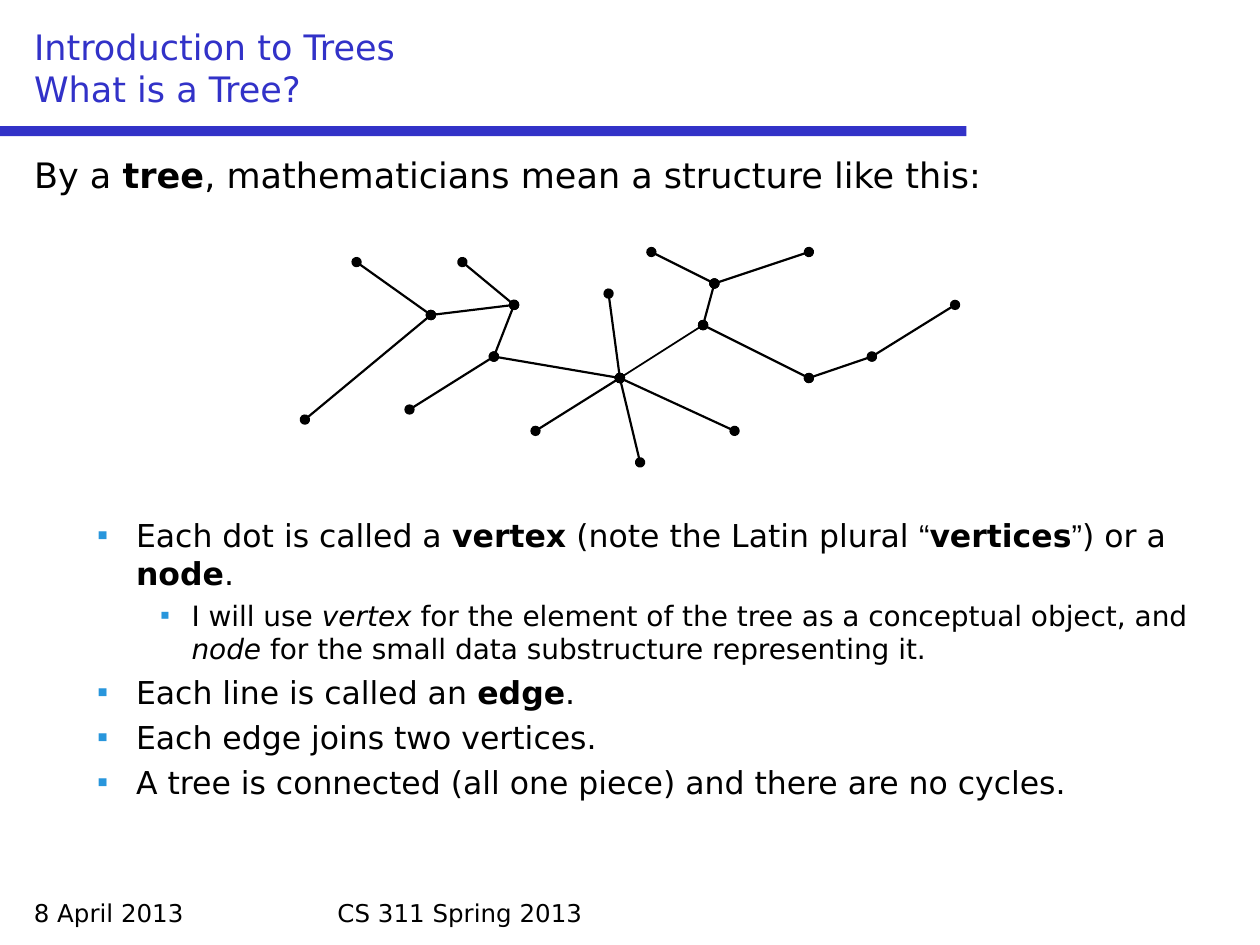
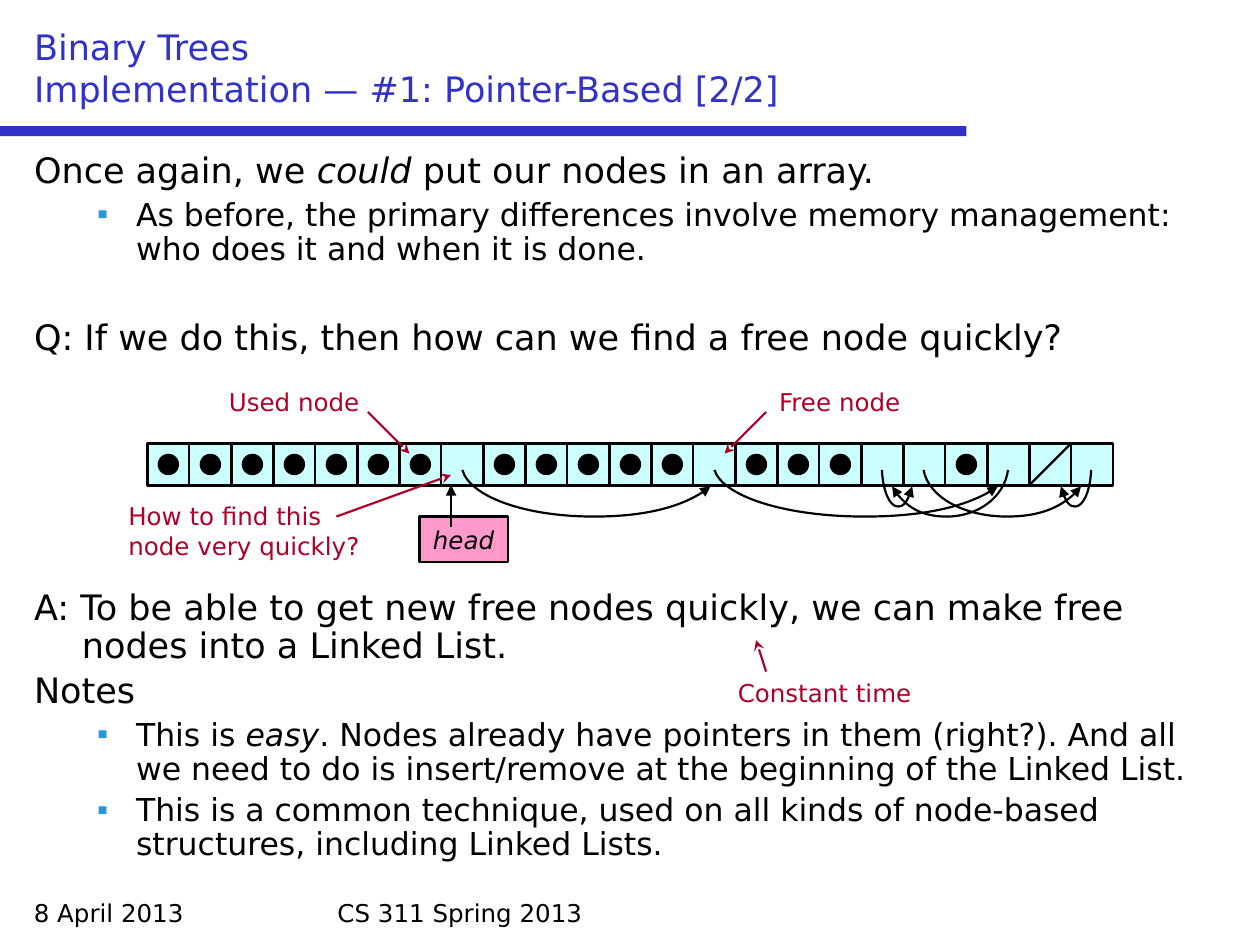
from dataclasses import dataclass

from lxml.etree import SubElement
from pptx import Presentation
from pptx.dml.color import RGBColor
from pptx.enum.shapes import MSO_CONNECTOR, MSO_SHAPE
from pptx.enum.text import MSO_ANCHOR, MSO_AUTO_SIZE, PP_ALIGN
from pptx.oxml.ns import qn
from pptx.shapes.autoshape import Shape
from pptx.slide import Slide
from pptx.text.text import TextFrame
from pptx.util import Inches, Pt


@dataclass(frozen=True)
class Theme:
    font: str = "DejaVu Sans"
    quote_font: str = "Arial"
    accent: RGBColor = RGBColor(0x32, 0x32, 0xC8)
    bullet: RGBColor = RGBColor(0x28, 0x96, 0xDC)
    ink: RGBColor = RGBColor(0, 0, 0)
    note: RGBColor = RGBColor(0xAF, 0x00, 0x28)
    cell: RGBColor = RGBColor(0xCC, 0xFF, 0xFF)
    head: RGBColor = RGBColor(0xFF, 0x99, 0xCC)
    title_size: int = 20
    body_sizes: tuple[int, ...] = (20, 18, 16)
    small_size: int = 14
    line_width: float = 1.25
    margins: tuple[float, ...] = (0.38, 0.81, 1.25)
    hangs: tuple[float, ...] = (0.38, 0.31, 0.25)
    gaps: tuple[float, ...] = (4.66, 4.19, 3.72)


THEME = Theme()


@dataclass(frozen=True)
class Run:
    text: str
    bold: bool = False
    italic: bool = False
    font: str = THEME.font


@dataclass(frozen=True)
class Item:
    """One body paragraph; gap is the space before it in points."""
    level: int
    runs: tuple[Run, ...]
    gap: float | None = None


@dataclass(frozen=True)
class Label:
    text: str
    left: float
    top: float
    width: float
    height: float
    color: RGBColor = THEME.note
    align: PP_ALIGN = PP_ALIGN.CENTER


@dataclass(frozen=True)
class Line:
    start: tuple[float, float]
    end: tuple[float, float]
    color: RGBColor = THEME.ink
    width: float = THEME.line_width
    head: str = "none"
    tail: str = "none"


@dataclass(frozen=True)
class Link:
    """A curved pointer hanging below the array."""
    start: float
    end: float
    depth: float = 0.37


FOOTERS = (
    Label("8 April 2013", 0.17, 7.08, 2.33, 0.33, THEME.ink, PP_ALIGN.LEFT),
    Label("CS 311 Spring 2013", 2.58, 7.08, 4.83, 0.33, THEME.ink, PP_ALIGN.LEFT),
)

TREE_ITEMS = (
    Item(0, (Run("By a "), Run("tree", bold=True),
             Run(", mathematicians mean a structure like this:"))),
    Item(1, (Run("Each dot is called a "), Run("vertex", bold=True),
             Run(" (note the Latin plural "), Run("“", font=THEME.quote_font),
             Run("vertices", bold=True), Run("”", font=THEME.quote_font),
             Run(") or a "), Run("node", bold=True), Run(".")), gap=183),
    Item(2, (Run("I will use "), Run("vertex", italic=True),
             Run(" for the element of the tree as a conceptual object, and "),
             Run("node", italic=True),
             Run(" for the small data substructure representing it."))),
    Item(1, (Run("Each line is called an "), Run("edge", bold=True), Run("."))),
    Item(1, (Run("Each edge joins two vertices."),)),
    Item(1, (Run("A tree is connected (all one piece) and there are no cycles."),)),
)

VERTICES = {
    "a": (2.42, 3.33), "b": (2.83, 2.08), "c": (3.42, 2.5), "d": (3.67, 2.08),
    "e": (4.08, 2.42), "f": (3.92, 2.83), "g": (3.25, 3.25), "h": (4.92, 3),
    "i": (4.83, 2.33), "j": (4.25, 3.42), "k": (5.08, 3.67), "l": (5.83, 3.42),
    "m": (5.58, 2.58), "n": (5.67, 2.25), "o": (5.17, 2), "p": (6.42, 2),
    "q": (6.42, 3), "r": (6.92, 2.83), "s": (7.58, 2.42),
}
EDGES = "fh mh mq hk hj nm ef ce ih lh qr fg cb no pn de sr ca".split()
THIN_EDGE = "mh"

ARRAY_ITEMS = (
    Item(0, (Run("Once again, we "), Run("could", italic=True),
             Run(" put our nodes in an array."))),
    Item(1, (Run("As before, the primary differences involve memory management: "
                 "who does it and when it is done."),)),
    Item(0, (Run("Q: If we do this, then how can we find a free node quickly?"),),
         gap=30.3),
    Item(0, (Run("A: To be able to get new free nodes quickly, "
                 "we can make free nodes into a Linked List."),), gap=132.7),
    Item(0, (Run("Notes"),)),
    Item(1, (Run("This is "), Run("easy", italic=True),
             Run(". Nodes already have pointers in them (right?). And all we need "
                 "to do is insert/remove at the beginning of the Linked List."))),
    Item(1, (Run("This is a common technique, used on all kinds of node-based "
                 "structures, including Linked Lists."),)),
)

ARRAY_LEFT, ARRAY_TOP, CELL, DOT = 1.17, 3.52, 1 / 3, 0.17
CELL_COUNT = 23
FREE_CELLS = {7, 13, 17, 18, 20, 21, 22}
LINKS = (
    Link(3.67, 5.64), Link(5.67, 7.92), Link(8, 7.08),
    Link(7, 7.24, 0.29), Link(8.66, 8.42, 0.29), Link(7.33, 8.58),
)
ARRAY_LABELS = (
    Label("Used node", 1.67, 3.02, 1.33, 0.34),
    Label("Free node", 6, 3.02, 1.33, 0.34),
    Label("How to find this node very quickly?", 0.92, 3.93, 2.17, 0.58,
          align=PP_ALIGN.LEFT),
    Label("Constant time", 5.67, 5.33, 1.75, 0.34),
)
ARRAY_LINES = (
    Line((2.92, 3.27), (3.25, 3.6), THEME.note, tail="stealth"),
    Line((6.08, 3.27), (5.75, 3.6), THEME.note, tail="stealth"),
    Line((2.67, 4.1), (3.58, 3.77), THEME.note, tail="stealth"),
    Line((6.08, 5.33), (6, 5.08), THEME.note, tail="stealth"),
    Line((3.58, 4.18), (3.58, 3.85), tail="triangle"),
    Line((8.17, 3.85), (8.5, 3.52)),
)


def add_run(paragraph, content: Run, size: float, color: RGBColor) -> None:
    run = paragraph.add_run()
    run.text = content.text
    run.font.name = content.font
    run.font.size = Pt(size)
    run.font.bold = content.bold
    run.font.italic = content.italic
    run.font.color.rgb = color


def place(shape: Shape, left: float, top: float, width: float, height: float) -> None:
    shape.left, shape.top = Inches(left), Inches(top)
    shape.width, shape.height = Inches(width), Inches(height)


def add_box(slide: Slide, kind: MSO_SHAPE, left: float, top: float, width: float,
            height: float, fill: RGBColor, outlined: bool = False) -> Shape:
    shape = slide.shapes.add_shape(kind, Inches(left), Inches(top),
                                   Inches(width), Inches(height))
    shape.shadow.inherit = False
    shape.fill.solid()
    shape.fill.fore_color.rgb = fill
    if outlined:
        shape.line.color.rgb = THEME.ink
        shape.line.width = Pt(THEME.line_width)
    else:
        shape.line.fill.background()
    return shape


def add_label(slide: Slide, label: Label) -> None:
    box = slide.shapes.add_textbox(Inches(label.left), Inches(label.top),
                                   Inches(label.width), Inches(label.height))
    box.text_frame.word_wrap = True
    paragraph = box.text_frame.paragraphs[0]
    paragraph.alignment = label.align
    add_run(paragraph, Run(label.text), THEME.small_size, label.color)


def add_arrowheads(shape, head: str, tail: str) -> None:
    outline = shape._element.spPr.find(qn("a:ln"))
    for tag, kind in (("a:headEnd", head), ("a:tailEnd", tail)):
        SubElement(outline, qn(tag)).set("type", kind)


def add_line(slide: Slide, line: Line) -> None:
    points = [Inches(value) for value in (*line.start, *line.end)]
    connector = slide.shapes.add_connector(MSO_CONNECTOR.STRAIGHT, *points)
    connector.line.color.rgb = line.color
    connector.line.width = Pt(line.width)
    add_arrowheads(connector, line.head, line.tail)
    SubElement(connector._element.spPr, qn("a:effectLst"))


def add_link(slide: Slide, link: Link) -> None:
    """Draw two joined Bezier curves from a cell to the edge of another."""
    top, width, depth = 3.73, link.end - link.start, link.depth
    offsets = ((0.03, 0.57 * depth), (0.25, depth), (0.53, depth),
               (0.73, depth), (0.91, 0.76 * depth), (1, 0.13))
    builder = slide.shapes.build_freeform(Inches(link.start), Inches(top))
    builder.add_line_segments(
        [(Inches(link.start + x * width), Inches(top + y)) for x, y in offsets],
        close=False)
    shape = builder.convert_to_shape()
    outline = shape._element.spPr.find(".//" + qn("a:pathLst"))[0]
    segments = outline.findall(qn("a:lnTo"))
    for first in (0, 3):
        curve = SubElement(outline, qn("a:cubicBezTo"))
        for segment in segments[first:first + 3]:
            curve.append(segment[0])
            outline.remove(segment)
    shape.shadow.inherit = False
    shape.fill.background()
    shape.line.color.rgb = THEME.ink
    shape.line.width = Pt(THEME.line_width)
    add_arrowheads(shape, "none", "triangle")


def set_bullet(paragraph, level: int) -> None:
    properties = paragraph._p.get_or_add_pPr()
    properties.set("marL", str(Inches(THEME.margins[level])))
    properties.set("indent", str(-Inches(THEME.hangs[level])))
    if level == 0:
        SubElement(properties, qn("a:buNone"))
        return
    color = SubElement(properties, qn("a:buClr"))
    SubElement(color, qn("a:srgbClr")).set("val", str(THEME.bullet))
    SubElement(properties, qn("a:buFont")).set("typeface", THEME.quote_font)
    SubElement(properties, qn("a:buChar")).set("char", "▪")


def fill_body(frame: TextFrame, items: tuple[Item, ...], spacing: float) -> None:
    for index, item in enumerate(items):
        paragraph = frame.add_paragraph() if index else frame.paragraphs[0]
        paragraph.level = item.level
        set_bullet(paragraph, item.level)
        gap = THEME.gaps[item.level] if item.gap is None else item.gap
        paragraph.space_before = Pt(gap if index else 0)
        paragraph.line_spacing = spacing
        for run in item.runs:
            add_run(paragraph, run, THEME.body_sizes[item.level], THEME.ink)


def add_content_slide(presentation, title_lines: tuple[str, str],
                      items: tuple[Item, ...], spacing: float = 1.0) -> Slide:
    """Add a slide with the shared band, footers, title and list."""
    slide = presentation.slides.add_slide(presentation.slide_layouts[1])
    add_box(slide, MSO_SHAPE.RECTANGLE, 0, 1, 7.67, 0.08, THEME.accent)
    for footer in FOOTERS:
        add_label(slide, footer)

    title, body = slide.shapes.title, slide.placeholders[1]
    place(title, 0.17, 0.17, 9.67, 0.75)
    place(body, 0.17, 1.17, 9.67, 5.83)
    for shape, anchor in ((title, MSO_ANCHOR.BOTTOM), (body, MSO_ANCHOR.TOP)):
        shape.text_frame.auto_size = MSO_AUTO_SIZE.NONE
        shape.text_frame.vertical_anchor = anchor
        shape.text_frame.word_wrap = True

    paragraph = title.text_frame.paragraphs[0]
    paragraph.alignment = PP_ALIGN.LEFT
    for index, text in enumerate(title_lines):
        if index:
            paragraph.add_line_break()
        add_run(paragraph, Run(text), THEME.title_size, THEME.accent)
    fill_body(body.text_frame, items, spacing)
    return slide


def add_tree_slide(presentation) -> None:
    slide = add_content_slide(
        presentation, ("Introduction to Trees", "What is a Tree?"), TREE_ITEMS)
    for edge in EDGES:
        start, end = edge
        width = 1 if edge == THIN_EDGE else THEME.line_width
        add_line(slide, Line(VERTICES[start], VERTICES[end], width=width,
                             head="oval", tail="oval"))


def add_array_slide(presentation) -> None:
    slide = add_content_slide(
        presentation, ("Binary Trees", "Implementation — #1: Pointer-Based [2/2]"),
        ARRAY_ITEMS, spacing=0.9)
    inset = (CELL - DOT) / 2
    for index in range(CELL_COUNT):
        left = ARRAY_LEFT + index * CELL
        add_box(slide, MSO_SHAPE.RECTANGLE, left, ARRAY_TOP, CELL, CELL,
                THEME.cell, outlined=True)
        if index not in FREE_CELLS:
            add_box(slide, MSO_SHAPE.OVAL, left + inset, ARRAY_TOP + inset,
                    DOT, DOT, THEME.ink)

    head = add_box(slide, MSO_SHAPE.RECTANGLE, 3.33, 4.1, 0.7, 0.36,
                   THEME.head, outlined=True)
    head.text_frame.word_wrap = False
    head.text_frame.vertical_anchor = MSO_ANCHOR.MIDDLE
    paragraph = head.text_frame.paragraphs[0]
    paragraph.alignment = PP_ALIGN.CENTER
    add_run(paragraph, Run("head", italic=True), THEME.small_size, THEME.ink)

    for label in ARRAY_LABELS:
        add_label(slide, label)
    for line in ARRAY_LINES:
        add_line(slide, line)
    for link in LINKS:
        add_link(slide, link)


def main() -> None:
    presentation = Presentation()
    presentation.slide_width, presentation.slide_height = Inches(10), Inches(7.5)
    add_tree_slide(presentation)
    add_array_slide(presentation)
    presentation.save("out.pptx")


if __name__ == "__main__":
    main()
